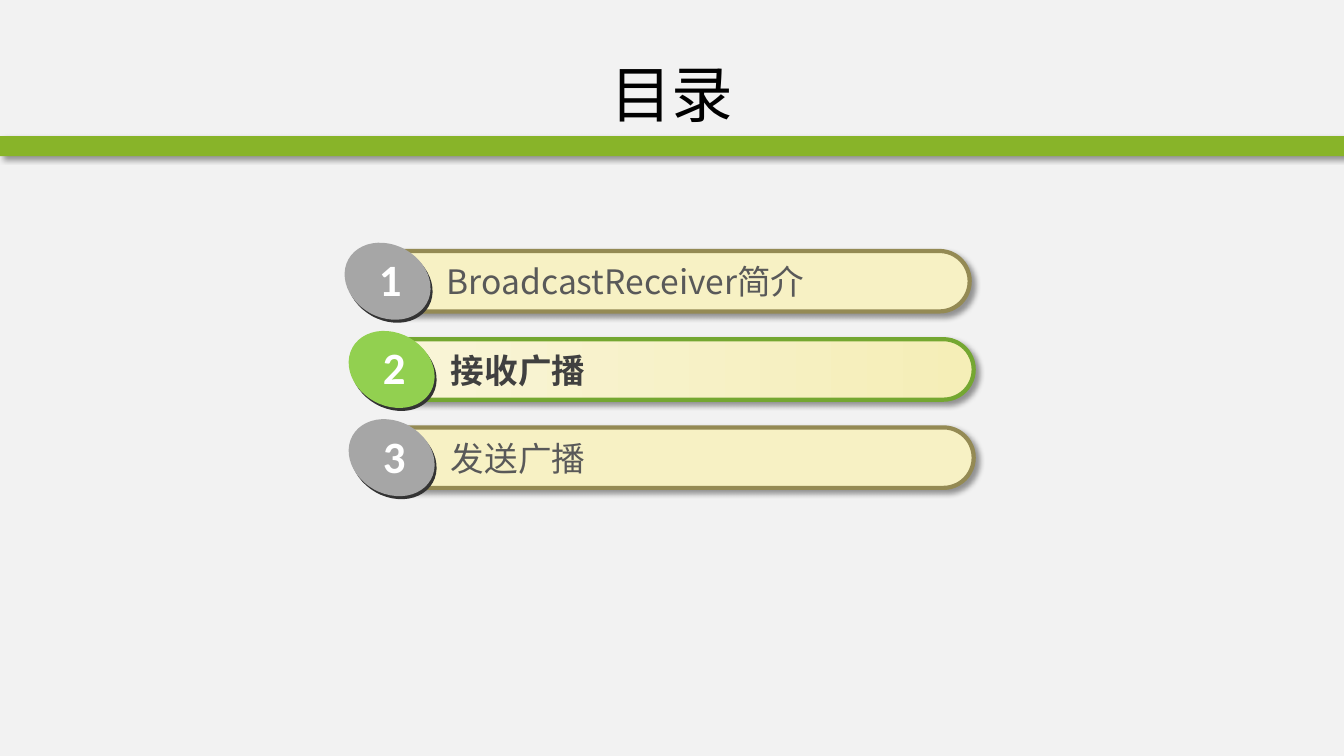
from dataclasses import dataclass

from lxml import etree
from pptx import Presentation
from pptx.dml.color import RGBColor
from pptx.enum.shapes import MSO_SHAPE
from pptx.enum.text import MSO_ANCHOR, MSO_AUTO_SIZE, PP_ALIGN
from pptx.oxml.ns import qn
from pptx.util import Inches, Pt

RECTANGLE = MSO_SHAPE.RECTANGLE
PILL = MSO_SHAPE.ROUNDED_RECTANGLE
OVAL = MSO_SHAPE.OVAL
MIDDLE = MSO_ANCHOR.MIDDLE
GROW = MSO_AUTO_SIZE.SHAPE_TO_FIT_TEXT
CENTER = PP_ALIGN.CENTER
TITLE_ONLY = 5

SLIDE_WIDTH = Inches(13.33)
SLIDE_HEIGHT = Inches(7.5)
FIRST_TOP = 33.2
ROW_PITCH = 11.67
ENTRIES = [
    ("BroadcastReceiver简介", 27.15, False),
    ("接收广播", 27.45, True),
    ("发送广播", 27.45, False),
]


@dataclass(frozen=True)
class Theme:
    background: str = "F2F2F2"
    band: str = "88B429"
    title: str = "000000"
    shadow: str = "000000"
    pill: tuple = ("F7F1C4",)
    pill_line: str = "948A54"
    label: str = "595959"
    badge: str = "A6A6A6"
    active_pill: tuple = ("F9F5D9", "F5EEB7")
    active_line: str = "74A731"
    active_label: str = "404040"
    active_badge: str = "92D050"
    badge_edge: str = "333333"
    number: str = "FFFFFF"
    text_font: str = "Noto Sans CJK SC"
    number_font: str = "Calibri"
    title_size: int = 44
    label_size: int = 24
    number_size: int = 32


THEME = Theme()


def area(left, top, width, height):
    return (
        int(SLIDE_WIDTH * left / 100),
        int(SLIDE_HEIGHT * top / 100),
        int(SLIDE_WIDTH * width / 100),
        int(SLIDE_HEIGHT * height / 100),
    )


def add_filled(shapes, preset, bounds, colors, line=None):
    shape = shapes.add_shape(preset, *area(*bounds))
    shape.shadow.inherit = False
    if len(colors) == 1:
        shape.fill.solid()
        shape.fill.fore_color.rgb = RGBColor.from_string(colors[0])
    else:
        shape.fill.gradient()
        shape.fill.gradient_angle = 0
        for position, (stop, color) in enumerate(zip(shape.fill.gradient_stops, colors)):
            stop.position = position
            stop.color.rgb = RGBColor.from_string(color)
    if line:
        shape.line.color.rgb = RGBColor.from_string(line)
        shape.line.width = Pt(3)
    else:
        shape.line.fill.background()
    return shape


def cast_shadow(shape):
    effects = shape._element.spPr.find(qn("a:effectLst"))
    shadow = etree.SubElement(
        effects, qn("a:outerShdw"), blurRad=str(Pt(4)), dist=str(Pt(3)),
        dir="2700000", algn="tl", rotWithShape="0",
    )
    color = etree.SubElement(shadow, qn("a:srgbClr"), val=THEME.shadow)
    etree.SubElement(color, qn("a:alpha"), val="40000")


def write(frame, text, size, color, font_name, bold=False):
    frame.text = text
    for run in frame.paragraphs[0].runs:
        run.font.size = Pt(size)
        run.font.bold = bold
        run.font.color.rgb = RGBColor.from_string(color)
        run.font.name = font_name
        etree.SubElement(run._r.get_or_add_rPr(), qn("a:ea"), typeface=font_name)


def add_label(shapes, bounds, wrap, *text_format):
    frame = shapes.add_textbox(*area(*bounds)).text_frame
    frame.word_wrap = wrap
    frame.auto_size = GROW
    write(frame, *text_format)


def add_entry(slide, number, text, left, top, active):
    shapes = slide.shapes.add_group_shape().shapes
    pill_colors = THEME.active_pill if active else THEME.pill
    pill_line = THEME.active_line if active else THEME.pill_line
    label_color = THEME.active_label if active else THEME.label
    badge_color = THEME.active_badge if active else THEME.badge

    pill = add_filled(shapes, PILL, (left, top, 45, 8), pill_colors, pill_line)
    pill.adjustments[0] = 0.5
    cast_shadow(pill)
    add_label(shapes, (left + 5.36, top + 0.7, 34.4, 6.8), True,
              text, THEME.label_size, label_color, THEME.text_font, active)
    for shift_x, shift_y, color in ((-1.5, -0.4, THEME.badge_edge), (-1.65, -0.8, badge_color)):
        disc = add_filled(shapes, OVAL, (left + shift_x, top + shift_y, 6.68, 9.6), (color,))
        disc.rotation = 29.3
    add_label(shapes, (left + 0.3, top - 0.55, 3.2, 8.5), False,
              str(number), THEME.number_size, THEME.number, THEME.number_font, True)


def add_title(slide, text):
    title = slide.shapes.title
    title.left, title.top, title.width, title.height = area(5, 4, 90, 16.67)
    frame = title.text_frame
    frame.vertical_anchor = MIDDLE
    write(frame, text, THEME.title_size, THEME.title, THEME.text_font)
    frame.paragraphs[0].alignment = CENTER


def main():
    deck = Presentation()
    deck.slide_width = SLIDE_WIDTH
    deck.slide_height = SLIDE_HEIGHT
    slide = deck.slides.add_slide(deck.slide_layouts[TITLE_ONLY])
    slide.background.fill.solid()
    slide.background.fill.fore_color.rgb = RGBColor.from_string(THEME.background)

    cast_shadow(add_filled(slide.shapes, RECTANGLE, (0, 18, 100, 2.67), (THEME.band,)))
    add_title(slide, "目录")
    for index, (text, left, active) in enumerate(ENTRIES):
        add_entry(slide, index + 1, text, left, FIRST_TOP + index * ROW_PITCH, active)
    deck.save("out.pptx")


if __name__ == "__main__":
    main()
